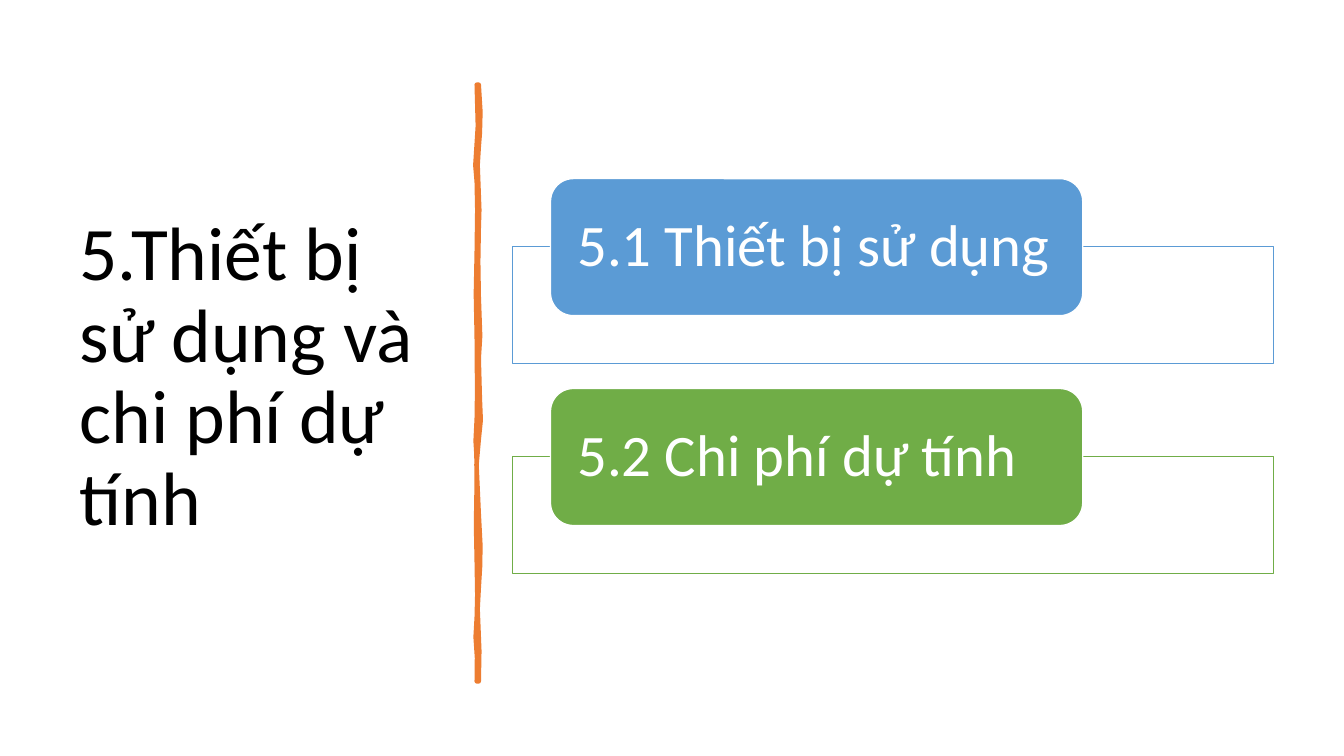
from pptx import Presentation
from pptx.dml.color import RGBColor
from pptx.enum.shapes import MSO_SHAPE as Shape
from pptx.enum.text import MSO_ANCHOR as Anchor, PP_ALIGN as Align
from pptx.util import Pt

TITLE = "5.Thiết bị sử dụng và chi phí dự tính"
ITEMS = [("5.1 Thiết bị sử dụng", "5B9BD5"), ("5.2 Chi phí dự tính", "70AD47")]
FONT = "Calibri"
STROKE = [  # outline of the hand-drawn divider: down the right, up the left
    (342, 60.5), (343.2, 80), (342.8, 95), (342, 105), (341.2, 118),
    (342.4, 150), (342, 163), (341.6, 187), (342, 212), (343, 240),
    (342, 256), (342.8, 285), (343.4, 300), (342, 314), (340.4, 332),
    (342, 367), (343.2, 390), (342.9, 405), (342, 420), (341.2, 435),
    (342.4, 465), (342, 486.7),
    (340.6, 486.7), (340.8, 470), (339.8, 455), (340.6, 441), (341, 425),
    (340.6, 401), (340.1, 375), (340.6, 343), (340.4, 325), (339.8, 315),
    (340.6, 299), (340.9, 280), (340.6, 241), (340, 210), (340.6, 180),
    (341, 150), (340.6, 130), (339.6, 118), (341.4, 90), (340.6, 60.5),
]
FRAME = (366, 176.2, 543.6, 83.5)
PILL = (393.2, 127.6, 380.2, 97.9)
STEP = 149.9


def color(code):
    return RGBColor.from_string(code)


def paint(shape, fill, line, width):
    shape.shadow.inherit = False
    shape.fill.solid()
    shape.fill.fore_color.rgb = color(fill)
    shape.line.color.rgb = color(line)
    shape.line.width = Pt(width)


def write(shape, text, size, code, side, edge):
    """Set left-aligned, middle-anchored text with side and edge insets."""
    frame = shape.text_frame
    frame.word_wrap = True
    frame.vertical_anchor = Anchor.MIDDLE
    frame.margin_left = frame.margin_right = Pt(side)
    frame.margin_top = frame.margin_bottom = Pt(edge)
    frame.text = text
    para = frame.paragraphs[0]
    para.alignment = Align.LEFT
    para.line_spacing = 0.9
    font = para.runs[0].font
    font.name, font.size = FONT, Pt(size)
    font.color.rgb = color(code)


def block(kind, place, drop):
    left, top, width, height = place
    return shapes.add_shape(kind, Pt(left), Pt(top + drop), Pt(width), Pt(height))


deck = Presentation()
deck.slide_width, deck.slide_height = Pt(960), Pt(540)
shapes = deck.slides.add_slide(deck.slide_layouts[6]).shapes

title = shapes.add_textbox(Pt(49.7), Pt(50.4), Pt(269.3), Pt(440))
write(title, TITLE, 54, "000000", 7.2, 3.6)

first, *rest = [(Pt(x), Pt(y)) for x, y in STROKE]
pen = shapes.build_freeform(*first)
pen.add_line_segments(rest, close=True)
paint(pen.convert_to_shape(), "ED7D31", "ED7D31", 3.25)

for i, (text, tone) in enumerate(ITEMS):
    paint(block(Shape.RECTANGLE, FRAME, i * STEP), "FFFFFF", tone, 1)
    pill = block(Shape.ROUNDED_RECTANGLE, PILL, i * STEP)
    paint(pill, tone, "FFFFFF", 1)
    write(pill, text, 42, "FFFFFF", 14.4, 0)

deck.save("out.pptx")
